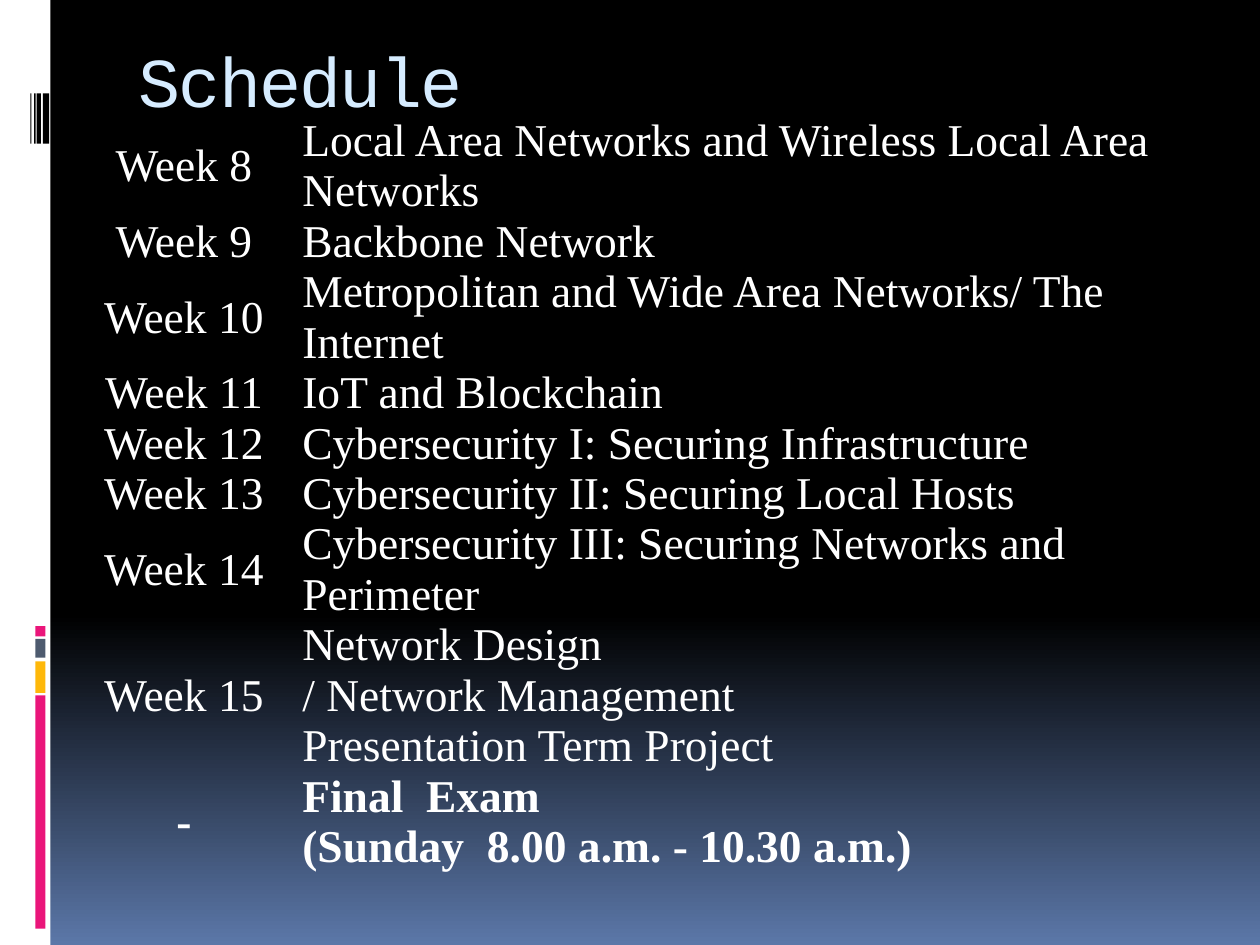
from copy import deepcopy
from pptx import Presentation
from pptx.dml.color import RGBColor
from pptx.enum.shapes import MSO_SHAPE
from pptx.enum.text import MSO_ANCHOR, PP_ALIGN
from pptx.oxml.ns import qn
from pptx.util import Inches, Pt

RECT = MSO_SHAPE.RECTANGLE
MID, TOP = MSO_ANCHOR.MIDDLE, MSO_ANCHOR.TOP
LEFT, MIDDLE = PP_ALIGN.LEFT, PP_ALIGN.CENTER
HUES = {"white": "FFFFFF", "black": "000000", "blue": "5B77A8", "pink": "EA157A",
        "gold": "FEB80A", "slate": "4E5B6F", "sky": "D6ECFF"}
NO_GRID = "{2D5ABB26-0587-4C30-8999-92F81FD0307C}"

deck = Presentation()
deck.slide_width, deck.slide_height = Inches(10), Inches(7.5)
WIDE, HIGH = deck.slide_width, deck.slide_height
slide = deck.slides.add_slide(deck.slide_layouts[5])


def share(x, y, w, h):
    return [int(n * side / 100) for n, side in zip((x, y, w, h), (WIDE, HIGH) * 2)]


def write(para, text, font, size, hue, bold=False):
    run = para.add_run()
    run.text = text
    run.font.name, run.font.size, run.font.bold = font, Pt(size), bold
    run.font.color.rgb = RGBColor.from_string(HUES[hue])
    return run


fill = slide.background.fill
fill.gradient()
fill.gradient_angle = 270
stops = slide.element.find(".//" + qn("a:gsLst"))
stops.append(deepcopy(stops[0]))
for stop, (place, hue) in zip(fill.gradient_stops, [(0, "black"), (0.65, "black"), (1, "blue")]):
    stop.position = place
    stop.color.rgb = RGBColor.from_string(HUES[hue])

bars = [(0, 0, 4, 100, "white")]
for y, h, hue in [(73.6, 24.67, "pink"), (70, 3.33, "gold"),
                  (67.6, 2, "slate"), (66.27, 1.07, "pink")]:
    bars.append((2.8, y, 0.8, h, hue))
for x, w in [(3.4, 0.5), (2.9, 0.35), (2.7, 0.13), (2.4, 0.1)]:
    bars.append((x, 9.87, w, 5.33, "black"))
for *box, hue in bars:
    bar = slide.shapes.add_shape(RECT, *share(*box))
    bar.shadow.inherit = False
    bar.fill.solid()
    bar.fill.fore_color.rgb = RGBColor.from_string(HUES[hue])
    bar.line.fill.background()

weeks = [
    ("Week 8", ["Local Area Networks and Wireless Local Area Networks"]),
    ("Week 9", ["Backbone Network"]),
    ("Week 10", ["Metropolitan and Wide Area Networks/ The Internet"]),
    ("Week 11", ["IoT and Blockchain"]),
    ("Week 12", ["Cybersecurity I: Securing Infrastructure"]),
    ("Week 13", ["Cybersecurity II: Securing Local Hosts"]),
    ("Week 14", ["Cybersecurity III: Securing Networks and Perimeter"]),
    ("Week 15", ["Network Design", "/ Network Management", "Presentation Term Project"]),
    ("-", ["Final  Exam", "(Sunday  8.00 a.m. - 10.30 a.m.)"]),
]
table = slide.shapes.add_table(len(weeks), 2, *share(5.9, 12.27, 92.9, 86.67)).table
table.first_row = table.horz_banding = False
table._tbl.tblPr.find(qn("a:tableStyleId")).text = NO_GRID
for col, part in zip(table.columns, (17.4, 75.6)):
    col.width = int(WIDE * part / 100)
for row, (week, topics) in zip(table.rows, weeks):
    row.height = int(HIGH * 0.04)
    final = week == "-"
    sides = [([week], MIDDLE, MID), (topics, LEFT, MID if final else TOP)]
    for cell, (lines, align, anchor) in zip(row.cells, sides):
        cell.fill.background()
        cell.vertical_anchor = anchor
        cell.margin_left = cell.margin_right = Inches(0.07)
        cell.margin_top = cell.margin_bottom = 0
        frame = cell.text_frame
        for i, line in enumerate(lines):
            para = frame.add_paragraph() if i else frame.paragraphs[0]
            para.alignment = align
            write(para, line, "Times New Roman", 26, "white", final)

title = slide.shapes.title
title.left, title.top, title.width, title.height = share(10, 1.73, 85, 13.33)
title.text_frame.vertical_anchor = MID
head = title.text_frame.paragraphs[0]
head.alignment = LEFT
run = write(head, "Schedule", "Courier New", 40, "sky")
run.font._element.set("spc", "-100")

deck.save("out.pptx")
